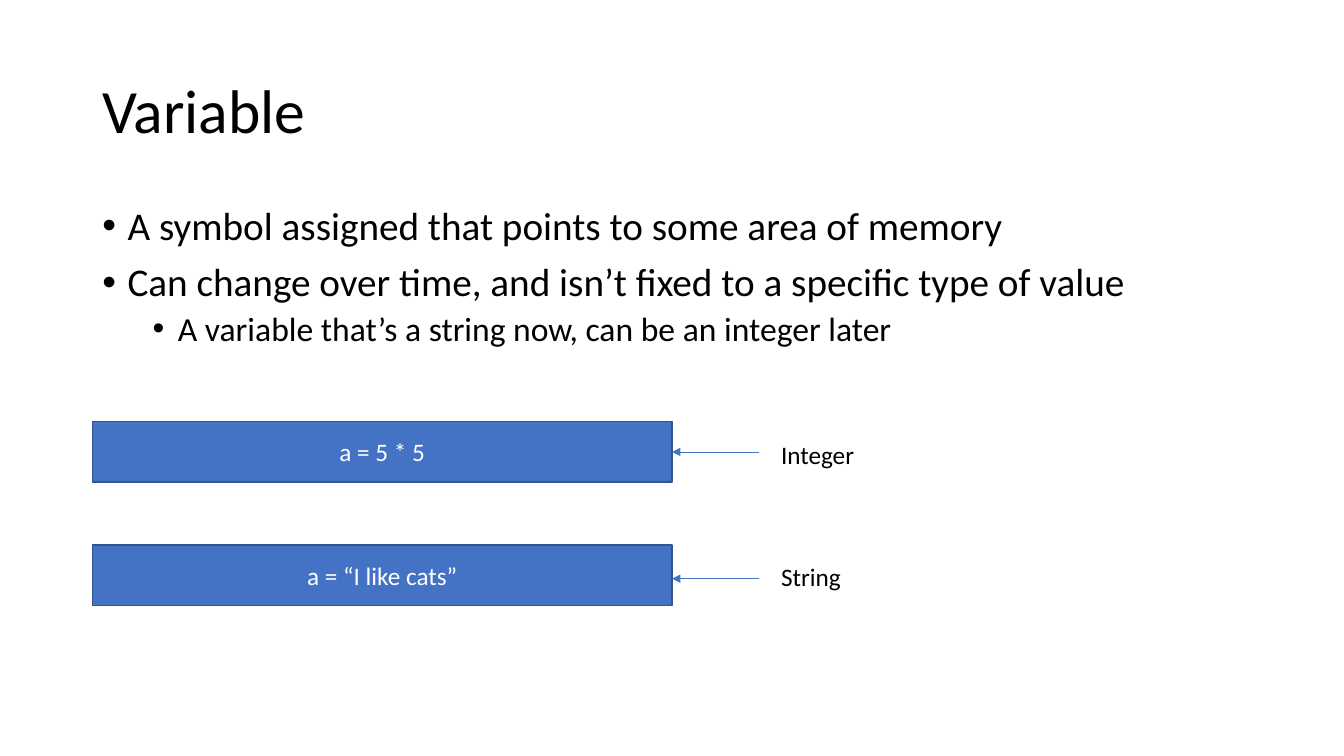
from dataclasses import dataclass

from lxml.etree import SubElement
from pptx import Presentation
from pptx.dml.color import RGBColor
from pptx.enum.shapes import MSO_CONNECTOR, MSO_SHAPE
from pptx.enum.text import MSO_ANCHOR, PP_ALIGN
from pptx.oxml.ns import qn
from pptx.util import Inches, Pt

COLORS = {"text": "000000", "bar": "4472C4", "edge": "325491", "bar_text": "FFFFFF"}
FONT = "Calibri"
COLUMNS, ROWS = 160, 90
MARGIN, CONTENT_WIDTH = 11, 138
BAR_WIDTH, BAR_HEIGHT = 69, 7.2
BAR_RIGHT = MARGIN + BAR_WIDTH
ARROW_START, LABEL_LEFT = 90.4, 91.8
LABEL_WIDTH, LABEL_HEIGHT = 28, 4.8


@dataclass
class Bullet:
    text: str
    size: int
    indent: float
    space_before: int


@dataclass
class Assignment:
    code: str
    kind: str
    bar_top: float
    arrow_row: float
    label_top: float


BULLETS = [
    Bullet("A symbol assigned that points to some area of memory", 28, 0.25, 10),
    Bullet("Can change over time, and isn’t fixed to a specific type of value", 28, 0.25, 10),
    Bullet("A variable that’s a string now, can be an integer later", 24, 0.75, 5),
]
ASSIGNMENTS = [
    Assignment("a = 5 * 5", "Integer", 50.2, 53.8, 51.7),
    Assignment("a = “I like cats”", "String", 64.9, 68.9, 66.2),
]

deck = Presentation()
deck.slide_width, deck.slide_height = Inches(13.33), Inches(7.5)
slide = deck.slides.add_slide(deck.slide_layouts[6])


def across(columns: float) -> int:
    return round(deck.slide_width * columns / COLUMNS)


def down(rows: float) -> int:
    return round(deck.slide_height * rows / ROWS)


def area(left: float, top: float, width: float, height: float) -> tuple[int, int, int, int]:
    return across(left), down(top), across(width), down(height)


def color(name: str) -> RGBColor:
    return RGBColor.from_string(COLORS[name])


def write(paragraph, text: str, *, size: int = 18, ink: str = "text",
          align=PP_ALIGN.LEFT, line_spacing: float = 1.0, space_before: int = 0) -> None:
    paragraph.alignment = align
    paragraph.line_spacing = line_spacing
    paragraph.space_before = Pt(space_before)
    run = paragraph.add_run()
    run.text = text
    run.font.name, run.font.size = FONT, Pt(size)
    run.font.color.rgb = color(ink)


def text_frame(left: float, top: float, width: float, height: float, anchor=MSO_ANCHOR.TOP):
    frame = slide.shapes.add_textbox(*area(left, top, width, height)).text_frame
    frame.word_wrap = True
    frame.vertical_anchor = anchor
    return frame


def draw_bullets(bullets: list[Bullet]) -> None:
    frame = text_frame(MARGIN, 24, CONTENT_WIDTH, 57)
    for index, bullet in enumerate(bullets):
        paragraph = frame.add_paragraph() if index else frame.paragraphs[0]
        write(paragraph, bullet.text, size=bullet.size, line_spacing=0.9,
              space_before=bullet.space_before)
        properties = paragraph._p.get_or_add_pPr()
        properties.set("marL", str(Inches(bullet.indent)))
        properties.set("indent", str(-Inches(0.25)))
        SubElement(properties, qn("a:buFont"), typeface="Arial")
        SubElement(properties, qn("a:buChar"), char="•")


def draw_bar(code: str, top: float) -> None:
    bar = slide.shapes.add_shape(MSO_SHAPE.RECTANGLE, *area(MARGIN, top, BAR_WIDTH, BAR_HEIGHT))
    bar.shadow.inherit = False
    bar.fill.solid()
    bar.fill.fore_color.rgb = color("bar")
    bar.line.color.rgb = color("edge")
    bar.line.width = Pt(1)
    bar.text_frame.vertical_anchor = MSO_ANCHOR.MIDDLE
    write(bar.text_frame.paragraphs[0], code, ink="bar_text", align=PP_ALIGN.CENTER)


def draw_arrow(row: float) -> None:
    arrow = slide.shapes.add_connector(
        MSO_CONNECTOR.STRAIGHT, across(ARROW_START), down(row), across(BAR_RIGHT), down(row))
    arrow.line.color.rgb = color("bar")
    arrow.line.width = Pt(0.5)
    SubElement(arrow.line._get_or_add_ln(), qn("a:tailEnd"), type="triangle")
    SubElement(arrow._element.spPr, qn("a:effectLst"))


def draw_assignment(assignment: Assignment) -> None:
    draw_bar(assignment.code, assignment.bar_top)
    draw_arrow(assignment.arrow_row)
    label = text_frame(LABEL_LEFT, assignment.label_top, LABEL_WIDTH, LABEL_HEIGHT)
    write(label.paragraphs[0], assignment.kind)


heading = text_frame(MARGIN, 4.8, CONTENT_WIDTH, 17.4, MSO_ANCHOR.MIDDLE)
write(heading.paragraphs[0], "Variable", size=44, line_spacing=0.9)
draw_bullets(BULLETS)
for assignment in ASSIGNMENTS:
    draw_assignment(assignment)

deck.save("out.pptx")
